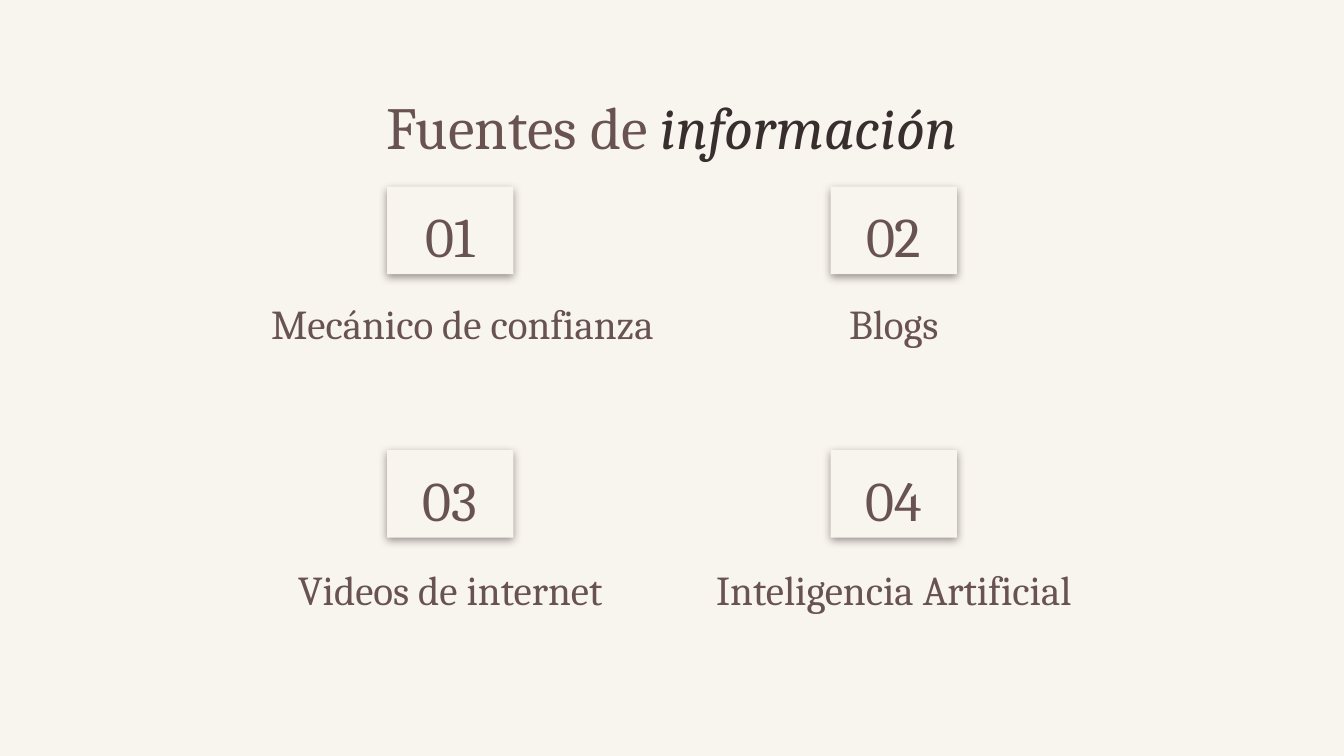
"""Build a slide that lists four numbered information sources in a two by two grid."""
import pptx
import pptx.dml.color
import pptx.enum.shapes
import pptx.enum.text
import pptx.oxml
import pptx.oxml.ns
import pptx.util

COLORS = {"cream": "F8F4EE", "brown": "695350", "dark": "382E2E"}
ANCHOR = pptx.enum.text.MSO_ANCHOR
RECTANGLE = pptx.enum.shapes.MSO_SHAPE.RECTANGLE
SHADOW = (
    f'<a:effectLst {pptx.oxml.ns.nsdecls("a")}>'
    '<a:outerShdw blurRad="57150" dist="19050" dir="5400000" algn="bl" rotWithShape="0">'
    f'<a:srgbClr val="{COLORS["dark"]}"><a:alpha val="50000"/></a:srgbClr>'
    "</a:outerShdw></a:effectLst>"
)

deck = pptx.Presentation()
deck.slide_width = pptx.util.Inches(10)
deck.slide_height = pptx.util.Inches(5.625)
slide = deck.slides.add_slide(deck.slide_layouts[6])
slide.background.fill.solid()
slide.background.fill.fore_color.rgb = pptx.dml.color.RGBColor.from_string(COLORS["cream"])


def place(center, top, width, height):
    """Turn percentages of the slide into left, top, width and height."""
    across, down = deck.slide_width / 100, deck.slide_height / 100
    return [round(v) for v in ((center - width / 2) * across, top * down, width * across, height * down)]


def write(holder, text, size, anchor):
    """Put one centred line into a shape and return its paragraph."""
    frame = holder.text_frame
    frame.word_wrap = True
    frame.vertical_anchor = anchor
    frame.margin_left = frame.margin_right = pptx.util.Inches(0.1)
    frame.margin_top = frame.margin_bottom = pptx.util.Inches(0.1)
    line = frame.paragraphs[0]
    line.alignment = pptx.enum.text.PP_ALIGN.CENTER
    line.line_spacing = 1.15
    line.font.name = "Cambria"
    line.font.size = pptx.util.Pt(size)
    line.font.color.rgb = pptx.dml.color.RGBColor.from_string(COLORS["brown"])
    line.add_run().text = text
    return line


heading = slide.shapes.add_textbox(*place(50, 8.71, 84.3, 11.2))
heading_line = write(heading, "Fuentes de ", 32, ANCHOR.TOP)
emphasis = heading_line.add_run()
emphasis.text = "información"
emphasis.font.italic = True
emphasis.font.color.rgb = pptx.dml.color.RGBColor.from_string(COLORS["dark"])

column_centers = (33.5, 66.5)
row_tops = ((24.71, 36.27), (59.56, 71.47))
row_height = 11.56
sources = (
    ("Mecánico de confianza", 34.4, 33.8),
    ("Blogs", 66.5, 31.9),
    ("Videos de internet", 33.5, 31.9),
    ("Inteligencia Artificial", 66.5, 31.9),
)

for index, (source, caption_center, caption_width) in enumerate(sources):
    row, column = divmod(index, 2)
    badge_top, caption_top = row_tops[row]

    badge = slide.shapes.add_shape(RECTANGLE, *place(column_centers[column], badge_top, 9.4, row_height))
    badge.fill.solid()
    badge.fill.fore_color.rgb = pptx.dml.color.RGBColor.from_string(COLORS["cream"])
    badge.line.fill.background()
    badge._element.spPr.append(pptx.oxml.parse_xml(SHADOW))
    write(badge, f"{index + 1:02d}", 30, ANCHOR.MIDDLE)

    caption = slide.shapes.add_textbox(*place(caption_center, caption_top, caption_width, row_height))
    write(caption, source, 22, ANCHOR.BOTTOM)

deck.save("out.pptx")
